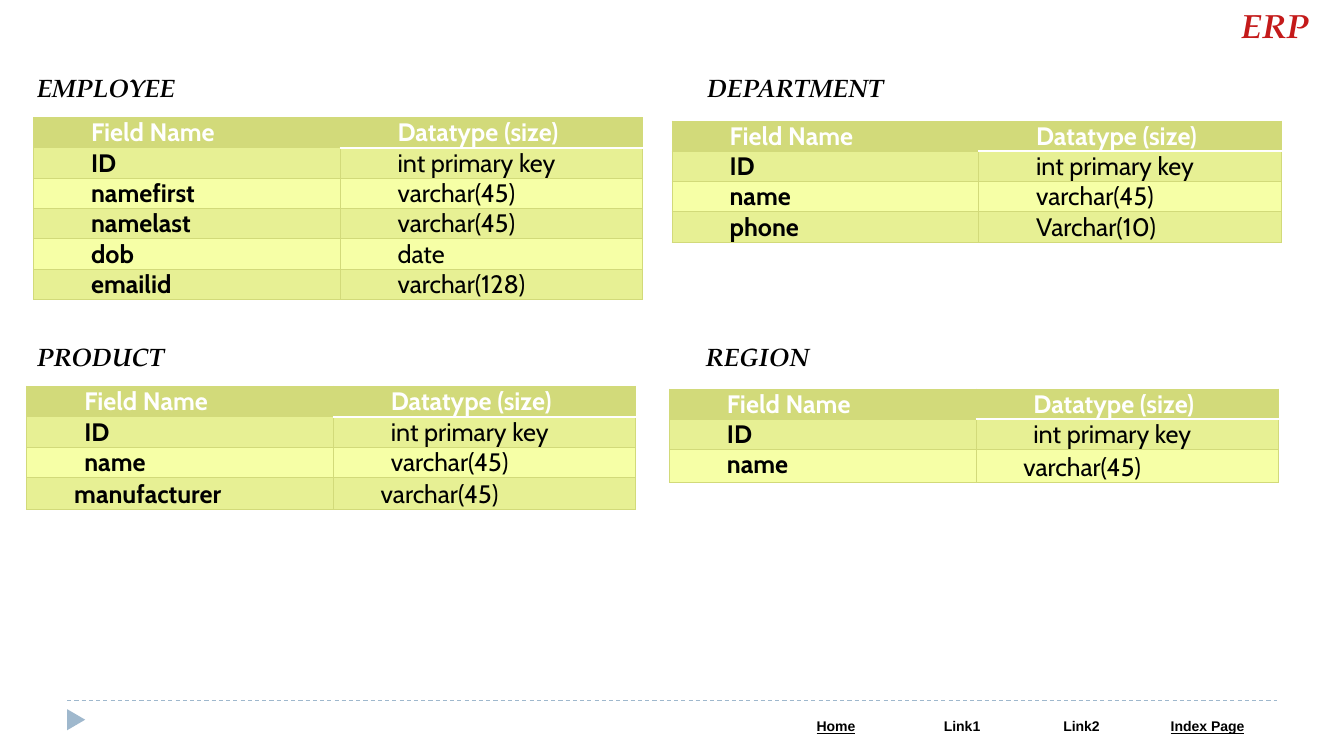
from lxml.etree import SubElement
from pptx import Presentation
from pptx.dml.color import RGBColor
from pptx.enum.dml import MSO_LINE
from pptx.enum.shapes import MSO_CONNECTOR, MSO_SHAPE
from pptx.enum.text import MSO_AUTO_SIZE, PP_ALIGN
from pptx.oxml.ns import qn
from pptx.util import Inches, Pt

HEADING_FONT, FIELD_FONT, LINK_FONT = "TeX Gyre Pagella", "Cabin", "Arial"
BLACK, WHITE, RED, BLUE = "000000", "FFFFFF", "C41A1A", "9FB8CD"
OLIVE, BAND, PALE = "D2DA7A", "E7F094", "F6FFA6"
INDENT, SHORT_INDENT = 1.5, 1.2  # grid units


def rgb(value):
    return RGBColor.from_string(value)


def unit(count):
    """Length of a number of grid columns or rows: 40 by 22.5 fill the slide."""
    return Inches(count / 3)


class SchemaSlide:
    def __init__(self, deck):
        self.slide = deck.slides.add_slide(deck.slide_layouts[6])
        self.shapes = self.slide.shapes

    def style(self, paragraph, font, size, color, bold=True, italic=False, underline=False):
        paragraph.font.name = font
        paragraph.font.size = Pt(size)
        paragraph.font.color.rgb = rgb(color)
        paragraph.font.bold = bold
        paragraph.font.italic = italic
        paragraph.font.underline = underline

    def heading(self, text, col, row, cols, rows=1.2, size=18, color=BLACK,
                align=PP_ALIGN.LEFT, wrap=False):
        box = self.shapes.add_textbox(unit(col), unit(row), unit(cols), unit(rows))
        frame = box.text_frame
        frame.word_wrap = wrap
        frame.auto_size = MSO_AUTO_SIZE.SHAPE_TO_FIT_TEXT
        paragraph = frame.paragraphs[0]
        paragraph.text = text
        paragraph.alignment = align
        self.style(paragraph, HEADING_FONT, size, color, italic=True)

    def divider(self, col, row, end_col):
        line = self.shapes.add_connector(
            MSO_CONNECTOR.STRAIGHT, unit(col), unit(row), unit(end_col), unit(row))
        line.line.color.rgb = rgb(BLUE)
        line.line.width = Pt(0.75)
        line.line.dash_style = MSO_LINE.DASH
        SubElement(line._element.spPr, qn("a:effectLst"))

    def marker(self, col, row, cols, rows):
        triangle = self.shapes.add_shape(
            MSO_SHAPE.ISOSCELES_TRIANGLE, unit(col), unit(row), unit(cols), unit(rows))
        triangle.rotation = 90
        triangle.shadow.inherit = False
        triangle.fill.solid()
        triangle.fill.fore_color.rgb = rgb(BLUE)
        triangle.line.fill.background()

    def table(self, col, row, widths, heights):
        frame = self.shapes.add_table(len(heights), len(widths), unit(col), unit(row),
                                      unit(sum(widths)), unit(sum(heights)))
        grid = frame.table
        grid.horz_banding = False
        for column, width in zip(grid.columns, widths):
            column.width = unit(width)
        for line, height in zip(grid.rows, heights):
            line.height = unit(height)
        return grid

    def cell(self, cell, text, fill, margins, borders):
        """Borders map an edge (L, R, T, B) to its colour and width."""
        cell.margin_left = cell.margin_right = unit(margins[0])
        cell.margin_top = cell.margin_bottom = unit(margins[1])
        properties = cell._tc.get_or_add_tcPr()
        for edge, (color, width) in borders.items():
            line = SubElement(properties, qn(f"a:ln{edge}"), w=str(Pt(width)))
            SubElement(SubElement(line, qn("a:solidFill")), qn("a:srgbClr"), val=color)
        cell.fill.solid()
        cell.fill.fore_color.rgb = rgb(fill)
        paragraph = cell.text_frame.paragraphs[0]
        paragraph.text = text
        return paragraph

    def entity(self, col, row, fields, short_cells=()):
        """Field table; short_cells are (row, column) pairs with the smaller indent."""
        lines = [("Field Name", "Datatype (size)"), *fields]
        tall_rows = {r for r, _ in short_cells}
        heights = [0.96 if r in tall_rows else 0.9 for r in range(len(lines))]
        grid = self.table(col, row, (9.12, 9), heights)
        for r, texts in enumerate(lines):
            fill = OLIVE if r == 0 else BAND if r % 2 else PALE
            for c, text in enumerate(texts):
                borders = {edge: (OLIVE, 0.75) for edge in "LRTB"}
                if c == 1 and r < 2:  # white rule under the second header
                    borders["B" if r == 0 else "T"] = (WHITE, 1.5)
                paragraph = self.cell(grid.cell(r, c), text, fill, (0.21, 0), borders)
                short = (r, c) in short_cells
                properties = paragraph._p.get_or_add_pPr()
                properties.set("marL", str(unit(SHORT_INDENT if short else INDENT)))
                properties.set("indent", "0")
                if short:
                    paragraph.line_spacing = 1.07
                self.style(paragraph, FIELD_FONT, 18, BLACK if r else WHITE,
                           bold=r == 0 or c == 0)

    def links(self, col, row, entries, widths):
        grid = self.table(col, row, widths, [0.8])
        grid.first_row = False
        borders = {edge: (WHITE, 1) for edge in "LRTB"}
        for c, (text, underline) in enumerate(entries):
            paragraph = self.cell(grid.cell(0, c), text, WHITE, (0.39, 0.15), borders)
            paragraph.alignment = PP_ALIGN.CENTER
            self.style(paragraph, LINK_FONT, 10, BLACK, underline=underline)


def main():
    deck = Presentation()
    deck.slide_width, deck.slide_height = Inches(13.33), Inches(7.5)
    page = SchemaSlide(deck)

    # Footer
    page.marker(1.95, 21.15, 0.63, 0.54)
    page.divider(2, 20.85, 38)
    page.links(23, 21.25, [("Home", True), ("Link1", False), ("Link2", False),
                           ("Index Page", True)], (3.75, 3.75, 3.36, 4.14))

    # Title
    page.heading("ERP", 0.78, 0, 38.46, 1.5, 24, RED, PP_ALIGN.RIGHT, True)

    # Entities
    key = ("ID", "int primary key")
    name = ("name", "varchar(45)")
    page.heading("EMPLOYEE", 0.8, 2, 4.95)
    page.entity(1, 3.5, [key, ("namefirst", "varchar(45)"), ("namelast", "varchar(45)"),
                         ("dob", "date"), ("emailid", "varchar(128)")])
    page.heading("DEPARTMENT", 20.75, 2, 6.1)
    page.entity(20, 3.6, [key, name, ("phone", "Varchar(10)")])
    page.heading("PRODUCT", 0.8, 10, 4.65)
    page.entity(0.8, 11.5, [key, name, ("manufacturer", "varchar(45)")], [(3, 0), (3, 1)])
    page.heading("REGION", 20.7, 10, 3.9)
    page.entity(19.92, 11.58, [key, name], [(2, 1)])

    deck.save("out.pptx")


if __name__ == "__main__":
    main()
